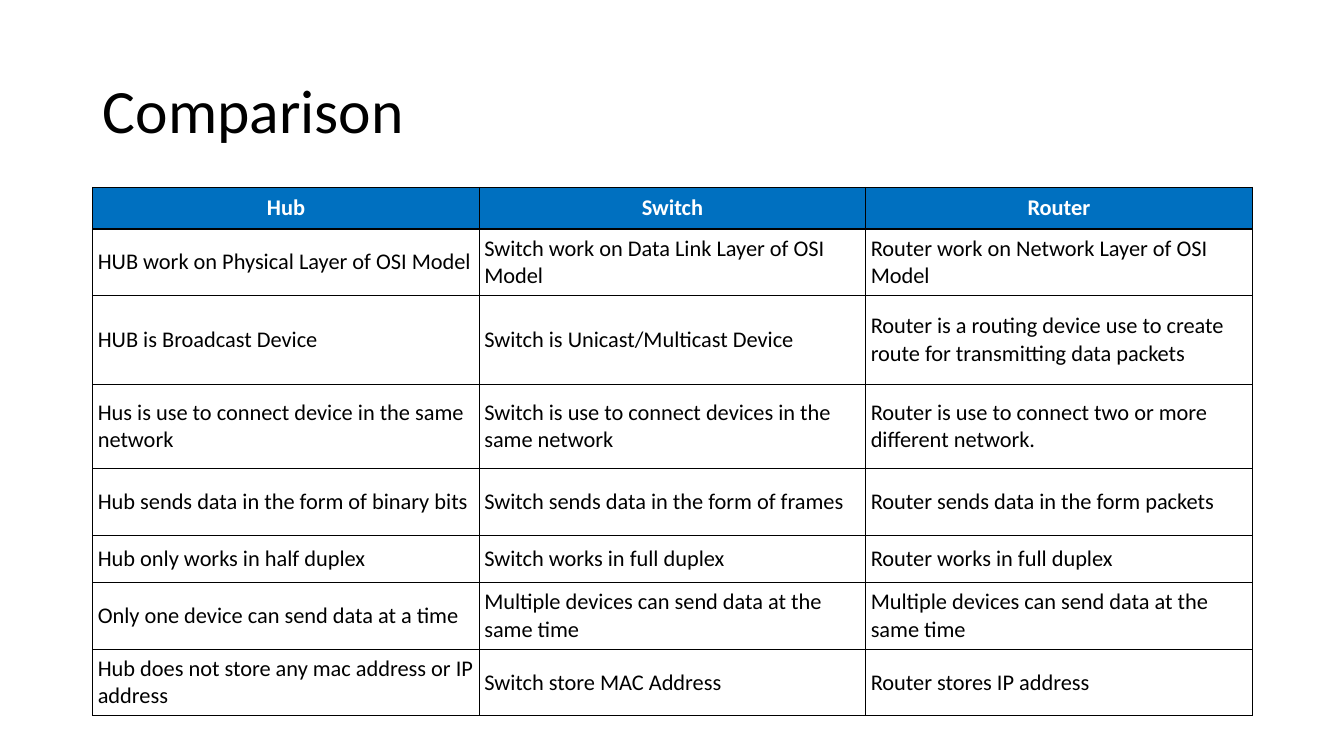
import pptx
import pptx.util
import pptx.dml.color
import pptx.enum.text
import pptx.oxml
import pptx.oxml.ns

Inches, Pt = pptx.util.Inches, pptx.util.Pt
RGBColor = pptx.dml.color.RGBColor
Align = pptx.enum.text.PP_ALIGN
MIDDLE = pptx.enum.text.MSO_ANCHOR.MIDDLE

# Content
TITLE = "Comparison"
ROWS = [
    ("Hub", "Switch", "Router"),
    ("HUB work on Physical Layer of OSI Model",
     "Switch work on Data Link Layer of OSI Model",
     "Router work on Network Layer of OSI Model"),
    ("HUB is Broadcast Device",
     "Switch is Unicast/Multicast Device",
     "Router is a routing device use to create route for transmitting data packets"),
    ("Hus is use to connect device in the same network",
     "Switch is use to connect devices in the same network",
     "Router is use to connect two or more different network."),
    ("Hub sends data in the form of binary bits",
     "Switch sends data in the form of frames",
     "Router sends data in the form packets"),
    ("Hub only works in half duplex",
     "Switch works in full duplex",
     "Router works in full duplex"),
    ("Only one device can send data at a time",
     "Multiple devices can send data at the same time",
     "Multiple devices can send data at the same time"),
    ("Hub does not store any mac address or IP address",
     "Switch store MAC Address",
     "Router stores IP address"),
]
HEIGHTS = (0.34, 0.66, 0.88, 0.84, 0.66, 0.47, 0.66, 0.66)

# Look
BLACK = RGBColor(0x00, 0x00, 0x00)
WHITE = RGBColor(0xFF, 0xFF, 0xFF)
BLUE = RGBColor(0x00, 0x70, 0xC0)
LEFT, WIDTH = 0.92, 11.5
HEAD = {"name": "Calibri", "size": Pt(16), "bold": True}
BODY = {"name": "Calibri", "size": Pt(16), "bold": False}
BIG = {"name": "Calibri", "size": Pt(44), "bold": False}


def style(para, form, color):
    for key, value in form.items():
        setattr(para.font, key, value)
    para.font.color.rgb = color


def border(cell):
    props = cell._tc.get_or_add_tcPr()
    for side in "LRTB":
        props.append(pptx.oxml.parse_xml(
            f'<a:ln{side} {pptx.oxml.ns.nsdecls("a")} w="{Pt(1)}">'
            f'<a:solidFill><a:srgbClr val="{BLACK}"/></a:solidFill></a:ln{side}>'))


def fill_cell(cell, text, head):
    border(cell)
    if head:
        cell.fill.solid()
        cell.fill.fore_color.rgb = BLUE
    else:
        cell.fill.background()
    cell.vertical_anchor = MIDDLE
    cell.margin_left = cell.margin_right = Inches(0.05)
    cell.margin_top = cell.margin_bottom = Inches(0.07 if head else 0.05)
    cell.text = text
    para = cell.text_frame.paragraphs[0]
    para.alignment = Align.CENTER if head else Align.LEFT
    style(para, HEAD if head else BODY, WHITE if head else BLACK)


def main():
    deck = pptx.Presentation()
    deck.slide_width, deck.slide_height = Inches(13.33), Inches(7.5)
    slide = deck.slides.add_slide(deck.slide_layouts[5])

    # Title
    title = slide.shapes.title
    title.left, title.top = Inches(LEFT), Inches(0.4)
    title.width, title.height = Inches(WIDTH), Inches(1.45)
    title.text_frame.text = TITLE
    title.text_frame.vertical_anchor = MIDDLE
    para = title.text_frame.paragraphs[0]
    para.alignment = Align.LEFT
    para.line_spacing = 0.9
    style(para, BIG, BLACK)

    # Comparison table
    count = len(ROWS[0])
    table = slide.shapes.add_table(
        len(ROWS), count, Inches(LEFT), Inches(1.86),
        Inches(WIDTH), Inches(sum(HEIGHTS))).table
    table.horz_banding = False
    for col in table.columns:
        col.width = Inches(WIDTH / count)
    for r, (texts, height) in enumerate(zip(ROWS, HEIGHTS)):
        table.rows[r].height = Inches(height)
        for c, text in enumerate(texts):
            fill_cell(table.cell(r, c), text, r == 0)

    deck.save("out.pptx")


if __name__ == "__main__":
    main()
